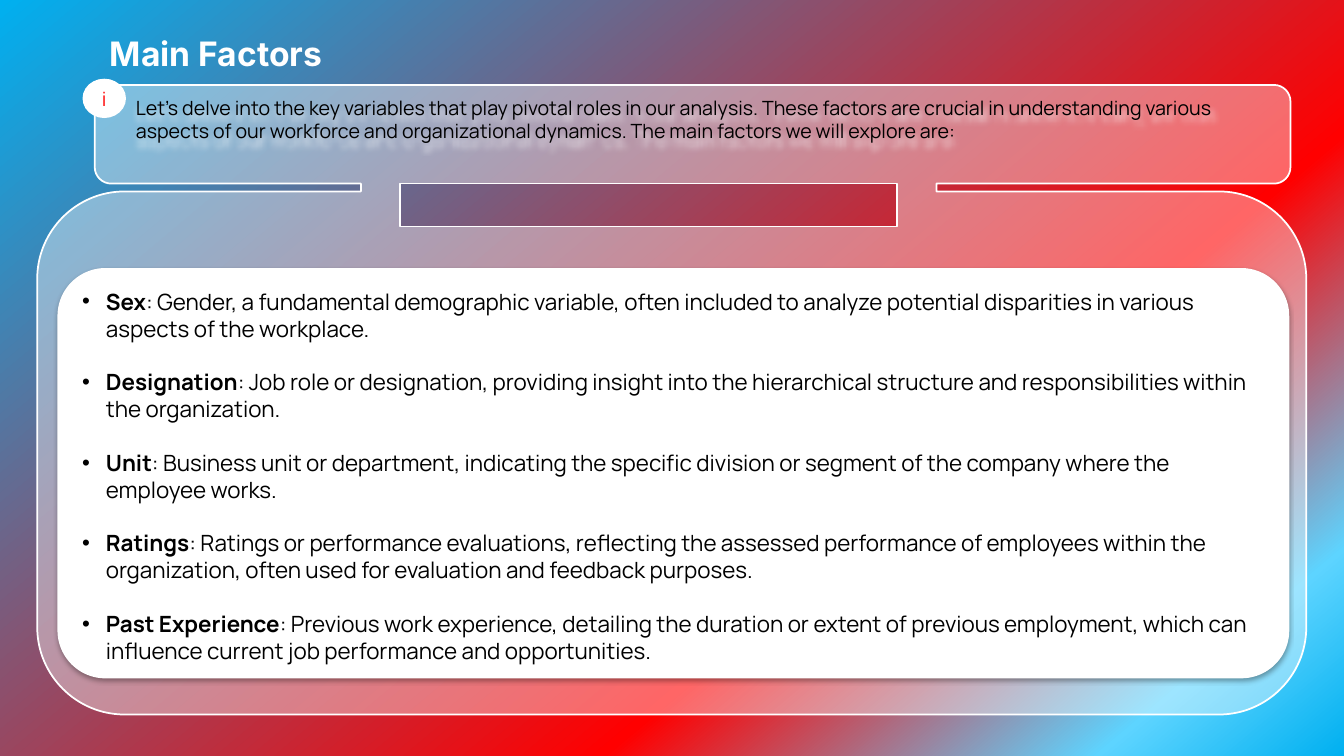
from lxml import etree
from pptx import Presentation
from pptx.dml.color import RGBColor
from pptx.enum.shapes import MSO_SHAPE as SHAPE
from pptx.enum.text import MSO_ANCHOR as ANCHOR, PP_ALIGN as ALIGN
from pptx.oxml import parse_xml
from pptx.oxml.ns import nsdecls, qn
from pptx.util import Pt

COLORS = {"white": "FFFFFF", "black": "000000", "red": "FF0000",
          "blue": "00B0F0", "sky": "5DD4FF"}
BACKGROUND = [(0, "blue"), (67, "red"), (89, "sky"), (100, "blue")]
INTRO = ("Let's delve into the key variables that play pivotal roles in our analysis. "
         "These factors are crucial in understanding various aspects of our workforce and "
         "organizational dynamics. The main factors we will explore are:")
FACTORS = [
    ("Sex", "Gender, a fundamental demographic variable, often included to analyze "
     "potential disparities in various aspects of the workplace."),
    ("Designation", "Job role or designation, providing insight into the hierarchical "
     "structure and responsibilities within the organization."),
    ("Unit", "Business unit or department, indicating the specific division or segment "
     "of the company where the employee works."),
    ("Ratings", "Ratings or performance evaluations, reflecting the assessed performance of "
     "employees within the organization, often used for evaluation and feedback purposes."),
    ("Past Experience", "Previous work experience, detailing the duration or extent of previous "
     "employment, which can influence current job performance and opportunities."),
]


def rgb(name):
    return RGBColor.from_string(COLORS[name])


def style_run(r, size, color="black", font="Manrope", bold=False):
    r.font.size, r.font.name, r.font.bold = Pt(size), font, bold
    r.font.color.rgb = rgb(color)


def set_insets(tf, left, top, right, bottom):
    tf.margin_left, tf.margin_top = Pt(left), Pt(top)
    tf.margin_right, tf.margin_bottom = Pt(right), Pt(bottom)


def add_shadow(sp, color, alpha, blur, dist):
    """Give the shape a soft shadow that falls straight down."""
    sp.shadow.inherit = False
    effects = sp._element.spPr.find(qn("a:effectLst"))
    effects.append(parse_xml(
        f'<a:outerShdw {nsdecls("a")} blurRad="{Pt(blur)}" dist="{Pt(dist)}" dir="5400000" '
        f'algn="t" rotWithShape="0"><a:srgbClr val="{COLORS[color]}">'
        f'<a:alpha val="{alpha * 1000}"/></a:srgbClr></a:outerShdw>'))


def set_background(s):
    fill = s.background.fill
    fill.gradient()
    fill.gradient_angle = 310
    stops = s._element.find(".//" + qn("a:gsLst"))
    for stop in list(stops):
        stops.remove(stop)
    for position, color in BACKGROUND:
        stop = etree.SubElement(stops, qn("a:gs"), pos=str(position * 1000))
        etree.SubElement(stop, qn("a:srgbClr"), val=COLORS[color])


def to_emu(points):
    return [(Pt(x), Pt(y)) for x, y in points]


def round_corners(sp):
    """Turn each diagonal of a clockwise outline into a quarter-circle curve."""
    x1 = y1 = 0
    for step in list(sp._element.find(".//" + qn("a:path"))):
        if step.tag == qn("a:close"):
            continue
        x2, y2 = (int(step[0].get(axis)) for axis in "xy")
        dx, dy = x2 - x1, y2 - y1
        if step.tag == qn("a:lnTo") and dx and dy:
            corner_x, corner_y = (x2, y1) if dx * dy > 0 else (x1, y2)
            step.tag = qn("a:cubicBezTo")
            for i, (x, y) in enumerate(((x1, y1), (x2, y2))):
                control = etree.Element(qn("a:pt"), x=str(round(x + 0.55 * (corner_x - x))),
                                        y=str(round(y + 0.55 * (corner_y - y))))
                step.insert(i, control)
        x1, y1 = x2, y2


def add_panel(s):
    """Draw the header and body as one outline, with a window between them."""
    left, top, right, bottom, r = 67.7, 60.7, 921.8, 131.2, 11.8
    body_left, body_top, body_right, body_bottom, body_r = 26.6, 136.8, 933.1, 510.4, 62.3
    neck_left, neck_right = 257.8, 668.9
    window_left, window_right, window_bottom = 285.8, 640.9, 161.8
    outline = [
        (left + r, top),
        (right - r, top), (right, top + r),
        (right, bottom - r), (right - r, bottom),
        (neck_right, bottom), (neck_right, body_top),
        (body_right - body_r, body_top), (body_right, body_top + body_r),
        (body_right, body_bottom - body_r), (body_right - body_r, body_bottom),
        (body_left + body_r, body_bottom), (body_left, body_bottom - body_r),
        (body_left, body_top + body_r), (body_left + body_r, body_top),
        (neck_left, body_top), (neck_left, bottom),
        (left + r, bottom), (left, bottom - r),
        (left, top + r), (left + r, top),
    ]
    window = [(window_left, bottom), (window_left, window_bottom),
              (window_right, window_bottom), (window_right, bottom)]
    start, *rest = to_emu(window)
    builder = s.shapes.build_freeform(*start)
    builder.add_line_segments(rest)
    start, *rest = to_emu(outline)
    builder.move_to(*start)
    builder.add_line_segments(rest)
    sp = builder.convert_to_shape()
    round_corners(sp)
    sp.shadow.inherit = False
    sp.fill.solid()
    sp.fill.fore_color.rgb = rgb("white")
    color = sp._element.spPr.find(qn("a:solidFill"))[0]
    etree.SubElement(color, qn("a:alpha"), val="40000")
    sp.line.color.rgb = rgb("white")
    sp.line.width = Pt(1.25)


def add_title(s, text):
    sp = s.shapes.title
    sp.left, sp.top, sp.width, sp.height = Pt(71.3), Pt(20.2), Pt(671), Pt(36)
    tf = sp.text_frame
    tf.text = text
    tf.vertical_anchor = ANCHOR.TOP
    set_insets(tf, 7.2, 3.6, 7.2, 3.6)
    p = tf.paragraphs[0]
    p.alignment = ALIGN.LEFT
    style_run(p.runs[0], 24, "white", "Inter", True)


def add_intro(s):
    sp = s.shapes.add_textbox(Pt(90), Pt(61.2), Pt(792), Pt(36))
    add_shadow(sp, "white", 60, 4, 4)
    tf = sp.text_frame
    tf.word_wrap = True
    set_insets(tf, 7.2, 7.2, 7.2, 7.2)
    tf.text = INTRO
    style_run(tf.paragraphs[0].runs[0], 14)


def add_white_shape(s, kind, left, top, width, height):
    sp = s.shapes.add_shape(kind, Pt(left), Pt(top), Pt(width), Pt(height))
    sp.shadow.inherit = False
    sp.fill.solid()
    sp.fill.fore_color.rgb = rgb("white")
    sp.line.fill.background()
    return sp


def add_info_badge(s):
    sp = add_white_shape(s, SHAPE.OVAL, 59, 56.2, 31, 28.1)
    tf = sp.text_frame
    set_insets(tf, 0, 0, 0, 0)
    tf.vertical_anchor = ANCHOR.MIDDLE
    tf.text = "i"
    p = tf.paragraphs[0]
    p.alignment = ALIGN.CENTER
    style_run(p.runs[0], 14, "red")


def add_bullet(p, indent):
    pPr = p._p.get_or_add_pPr()
    pPr.set("marL", str(Pt(indent)))
    pPr.set("indent", str(-Pt(indent)))
    etree.SubElement(pPr, qn("a:buFont"), typeface="Arial")
    etree.SubElement(pPr, qn("a:buChar"), char="•")


def add_factor_card(s):
    sp = add_white_shape(s, SHAPE.ROUNDED_RECTANGLE, 41.8, 192.2, 878.4, 291.6)
    sp.adjustments[0] = 0.115
    sp.line.color.rgb = rgb("white")
    sp.line.width = Pt(1.5)
    add_shadow(sp, "black", 35, 3.1, 1.8)
    tf = sp.text_frame
    tf.word_wrap = True
    tf.vertical_anchor = ANCHOR.TOP
    set_insets(tf, 7.2, 3.6, 0, 3.6)
    for i, (name, description) in enumerate(FACTORS):
        p = tf.add_paragraph() if i else tf.paragraphs[0]
        p.alignment = ALIGN.LEFT
        p.space_after = Pt(19.2 if i < len(FACTORS) - 1 else 0)
        add_bullet(p, 17)
        for text, bold in ((name, True), (f": {description}", False)):
            r = p.add_run()
            r.text = text
            style_run(r, 16, bold=bold)


def main():
    prs = Presentation()
    prs.slide_width, prs.slide_height = Pt(960), Pt(540)
    s = prs.slides.add_slide(prs.slide_layouts[5])
    set_background(s)
    add_panel(s)
    add_title(s, "Main Factors")
    add_intro(s)
    add_info_badge(s)
    add_factor_card(s)
    prs.save("out.pptx")


if __name__ == "__main__":
    main()
